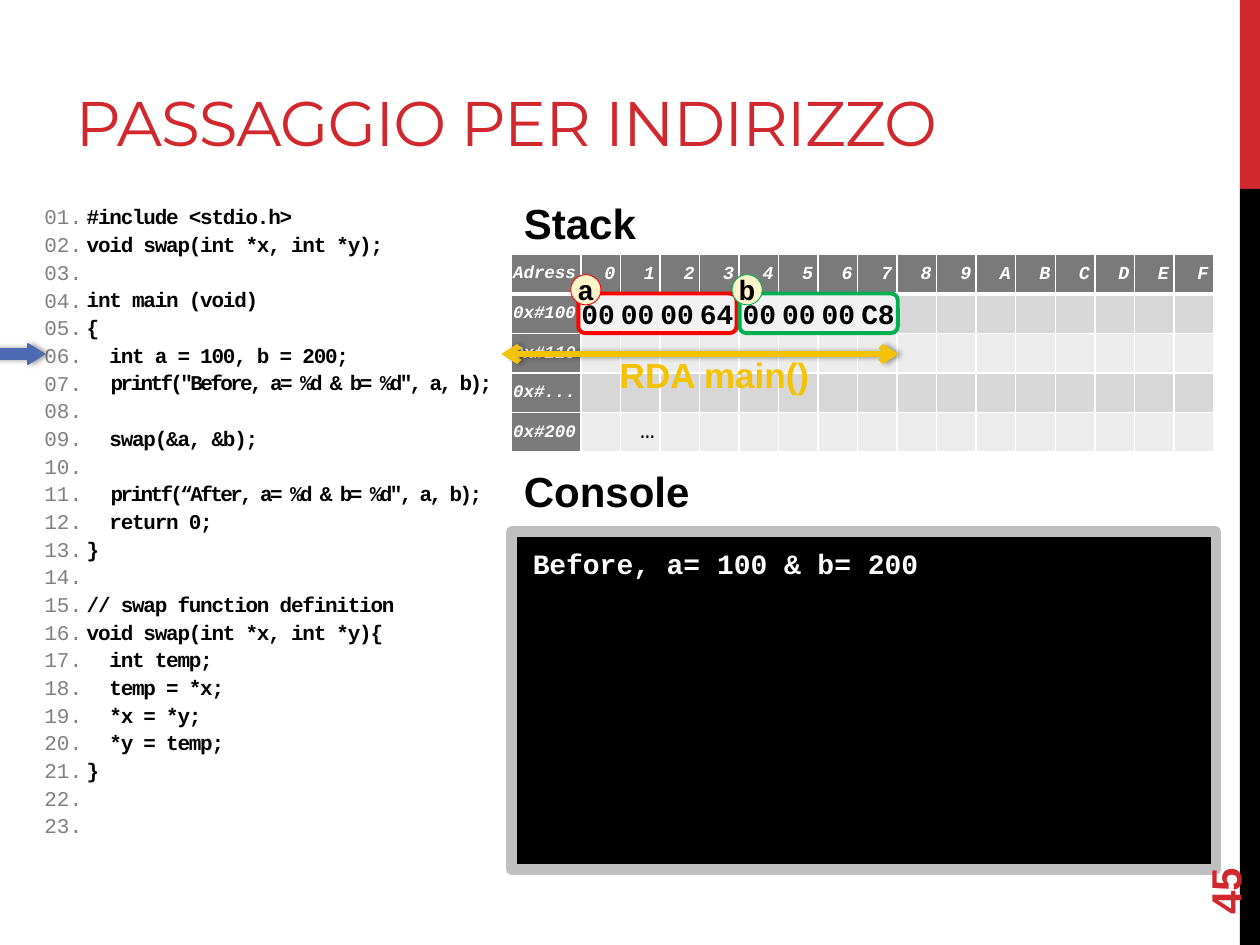
from lxml import etree
from pptx import Presentation, util as u
from pptx.dml.color import RGBColor
from pptx.enum import shapes, text
from pptx.oxml import ns, parse_xml

COLORS = {
    "red": "D1282E", "black": "000000", "white": "FFFFFF", "number": "808080",
    "header": "7A7A7A", "odd_row": "D7D7D7", "even_row": "ECECEC", "byte": "F2F2F2",
    "badge": "FFF4CA", "a": "FF0000", "b": "00B050", "gold": "F5C201",
    "pointer": "4D6BB5", "pointer_line": "4E6AAE", "frame": "BFBFBF",
}
MONO = "Courier New"
CELL = 0.314
LABEL_WIDTH = 0.55
CODE = """#include <stdio.h>
void swap(int *x, int *y);

int main (void)
{
  int a = 100, b = 200;
  printf("Before, a= %d & b= %d", a, b);

  swap(&a, &b);

  printf(“After, a= %d & b= %d", a, b);
  return 0;
}

// swap function definition
void swap(int *x, int *y){
  int temp;
  temp = *x;
  *x = *y;
  *y = temp;
}""".split("\n")
ADDRESSES = ["0x#100", "0x#110", "0x#...", "0x#200"]


def rgb(name):
    """Return the named colour."""
    return RGBColor.from_string(COLORS[name])


def inches(box):
    """Convert a left, top, width, height box to lengths."""
    return [u.Inches(value) for value in box]


def apply(target, **values):
    """Set each given attribute on the target."""
    for name, value in values.items():
        setattr(target, name, value)


def add_run(paragraph, words, size, color, name=MONO, bold=True, italic=False, spacing=0):
    """Append one formatted run; spacing is in points."""
    run = paragraph.add_run()
    run.text = words
    apply(run.font, size=u.Pt(size), name=name, bold=bold, italic=italic)
    run.font.color.rgb = rgb(color)
    if spacing:
        run._r.get_or_add_rPr().set("spc", str(round(spacing * 100)))


def set_margins(target, left=0, top=0, right=0, bottom=0):
    """Set the four text margins in inches."""
    apply(target, margin_left=u.Inches(left), margin_top=u.Inches(top),
          margin_right=u.Inches(right), margin_bottom=u.Inches(bottom))


def add_text(slide, box, words="", size=12, color="black", name=MONO,
             anchor=text.MSO_ANCHOR.TOP):
    """Add a wrapped text box, optionally holding one bold run."""
    shape = slide.shapes.add_textbox(*inches(box))
    apply(shape.text_frame, word_wrap=True, vertical_anchor=anchor)
    if words:
        add_run(shape.text_frame.paragraphs[0], words, size, color, name)
    return shape


def add_shape(slide, kind, box, fill=None, line=None, width=1):
    """Add a preset shape with plain fill and outline."""
    shape = slide.shapes.add_shape(kind, *inches(box))
    shape.shadow.inherit = False
    if fill:
        shape.fill.solid()
        shape.fill.fore_color.rgb = rgb(fill)
    else:
        shape.fill.background()
    if line:
        shape.line.color.rgb = rgb(line)
        shape.line.width = u.Pt(width)
    else:
        shape.line.fill.background()
    return shape


def add_label(shape, words):
    """Centre a monospaced label in a shape."""
    frame = shape.text_frame
    frame.vertical_anchor = text.MSO_ANCHOR.MIDDLE
    set_margins(frame)
    frame.word_wrap = False
    frame.paragraphs[0].alignment = text.PP_ALIGN.CENTER
    add_run(frame.paragraphs[0], words, 16, "black")


def add_shadow(shape):
    """Give a shape or connector a soft shadow."""
    properties = shape._element.spPr
    for old in properties.findall(ns.qn("a:effectLst")):
        properties.remove(old)
    properties.append(parse_xml(
        f'<a:effectLst {ns.nsdecls("a")}><a:outerShdw blurRad="39000" dist="23000" dir="0">'
        '<a:srgbClr val="000000"><a:alpha val="40000"/></a:srgbClr>'
        '</a:outerShdw></a:effectLst>'))


def add_frame(slide, left, page):
    """Draw the side bars."""
    width = 10 - left
    for top, height, color in [(0, 1.5, "red"), (1.5, 6, "black")]:
        add_shape(slide, shapes.MSO_SHAPE.RECTANGLE, (left, top, width, height), color)
    number = add_text(slide, (9, 6.44, 1.44, 0.4), page, 24, "red", "Arial",
                      text.MSO_ANCHOR.MIDDLE)
    number.rotation = 270


def add_title(slide, box, words):
    """Place and format the title placeholder."""
    title = slide.shapes.title
    apply(title, **dict(zip(("left", "top", "width", "height"), inches(box))))
    apply(title.text_frame, vertical_anchor=text.MSO_ANCHOR.BOTTOM, word_wrap=True)
    paragraph = title.text_frame.paragraphs[0]
    paragraph.alignment = text.PP_ALIGN.LEFT
    add_run(paragraph, words, 36, "red", "Montserrat", False, spacing=-0.6)


def add_lines(slide, box, lines, write, alignment):
    """Write one paragraph per line with the listing's line spacing."""
    frame = add_text(slide, box).text_frame
    for index, line in enumerate(lines):
        paragraph = frame.add_paragraph() if index else frame.paragraphs[0]
        apply(paragraph, line_spacing=1.1, alignment=alignment)
        if line:
            write(paragraph, line)
        else:
            end = etree.SubElement(paragraph._p, ns.qn("a:endParaRPr"), sz="1200")
            etree.SubElement(end, ns.qn("a:latin"), typeface=MONO)


def write_number(paragraph, line):
    """Write a line number."""
    add_run(paragraph, line, 12, "number", bold=False)


def write_code(paragraph, line):
    """Write a code line, tightening the long printf calls."""
    body = line.lstrip()
    if body.startswith("printf"):
        add_run(paragraph, line[:-len(body)], 12, "black", spacing=-0.7)
        add_run(paragraph, body, 12, "black", spacing=-1.5)
    else:
        add_run(paragraph, line, 12, "black", spacing=-0.7)


def add_listing(slide, left, top):
    """Place the numbered code and the current-line pointer."""
    numbers = [f"{number:02d}." for number in range(1, 24)]
    add_lines(slide, (left, top, 0.55, 5.21), numbers, write_number, text.PP_ALIGN.RIGHT)
    add_lines(slide, (left + 0.39, top, 3.46, 5.2), CODE, write_code, text.PP_ALIGN.LEFT)
    pointer = add_shape(slide, shapes.MSO_SHAPE.RIGHT_ARROW,
                        (left - 0.24, top + 1.18, 0.39, 0.16), "pointer", "pointer_line")
    pointer.adjustments[1] = 0.8
    add_shadow(pointer)


def add_heading(slide, left, top, words):
    """Place a section heading."""
    heading = add_text(slide, (left, top, 3.87, 0.47), words, 24, "black", "Arial",
                       text.MSO_ANCHOR.BOTTOM)
    heading.text_frame.paragraphs[0].space_after = u.Pt(6)


def format_cell(cell, fill, top, bottom):
    """Fill a cell, set its margins and draw white borders."""
    cell.fill.solid()
    cell.fill.fore_color.rgb = rgb(fill)
    cell.vertical_anchor = text.MSO_ANCHOR.MIDDLE
    set_margins(cell, right=0.04)
    cell.text_frame.paragraphs[0].alignment = text.PP_ALIGN.RIGHT
    for index, (side, width) in enumerate(zip("LRTB", (1, 1, top, bottom))):
        cell._tc.get_or_add_tcPr().insert(index, parse_xml(
            f'<a:ln{side} {ns.nsdecls("a")} w="{u.Pt(width)}"><a:solidFill>'
            f'<a:srgbClr val="{COLORS["white"]}"/></a:solidFill></a:ln{side}>'))


def add_memory(slide, left, top):
    """Place the memory table."""
    rows = [["Adress", *"0123456789ABCDEF"]] + [[name] + [""] * 16 for name in ADDRESSES]
    rows[4][2] = "…"
    width = LABEL_WIDTH + 16 * CELL
    table = slide.shapes.add_table(5, 17, *inches((left, top, width, 5 * CELL))).table
    for index, column in enumerate(table.columns):
        column.width = u.Inches(CELL if index else LABEL_WIDTH)
    for r, row in enumerate(rows):
        for c, words in enumerate(row):
            cell = table.cell(r, c)
            label = r == 0 or c == 0
            fill = "header" if label else "odd_row" if r % 2 else "even_row"
            format_cell(cell, fill, 3 if r == 1 else 1, 1 if r else 3)
            if words:
                size = 10 if c == 0 else 10.5 if label else 14
                add_run(cell.text_frame.paragraphs[0], words, size,
                        "white" if label else "black", bold=label, italic=label)


def add_variable(slide, left, top, name, values):
    """Place a variable's bytes, outline and name badge."""
    for index, value in enumerate(values):
        byte = add_shape(slide, shapes.MSO_SHAPE.RECTANGLE,
                         (left + index * CELL, top, CELL, CELL), "byte")
        add_label(byte, value)
    add_shape(slide, shapes.MSO_SHAPE.ROUNDED_RECTANGLE,
              (left, top, len(values) * CELL, CELL), None, name, 2.25)
    badge = add_shape(slide, shapes.MSO_SHAPE.OVAL, (left - 0.06, top - 0.15, 0.24, 0.24),
                      "badge", name, 0.5)
    add_label(badge, name)


def add_extent(slide, left, top, width, words):
    """Draw the double arrow and its caption."""
    ends = inches((left, top, left + width, top))
    arrow = slide.shapes.add_connector(shapes.MSO_CONNECTOR.STRAIGHT, *ends)
    arrow.line.color.rgb = rgb("gold")
    arrow.line.width = u.Pt(3.25)
    for end in ("a:headEnd", "a:tailEnd"):
        etree.SubElement(arrow.line._get_or_add_ln(), ns.qn(end), type="arrow")
    add_shadow(arrow)
    add_text(slide, (left + 0.84, top - 0.05, 1.91, 0.44), words, 20, "gold", "Arial")


def add_console(slide, box, words):
    """Draw the console screen and its output."""
    left, top = box[:2]
    add_shape(slide, shapes.MSO_SHAPE.RECTANGLE, box, "black", "frame", 6)
    add_text(slide, (left + 0.07, top + 0.07, 4.25, 0.37), words, 16, "white")


def main():
    """Build and save the slide."""
    presentation = Presentation()
    apply(presentation, slide_width=u.Inches(10), slide_height=u.Inches(7.5))
    slide = presentation.slides.add_slide(presentation.slide_layouts[5])
    add_title(slide, (0.5, 0.17, 7.96, 1.14), "PASSAGGIO PER INDIRIZZO")
    add_listing(slide, 0.2, 1.55)
    add_heading(slide, 4.06, 1.55, "Stack")
    add_heading(slide, 4.06, 3.67, "Console")
    add_memory(slide, 4.06, 2.02)
    add_variable(slide, 4.59, 2.33, "a", ["00", "00", "00", "64"])
    add_variable(slide, 5.87, 2.33, "b", ["00", "00", "00", "C8"])
    add_extent(slide, 3.98, 2.81, 3.15, "RDA main()")
    add_console(slide, (4.06, 4.22, 5.59, 2.68), "Before, a= 100 & b= 200")
    add_frame(slide, 9.84, "45")
    presentation.save("out.pptx")


if __name__ == "__main__":
    main()
